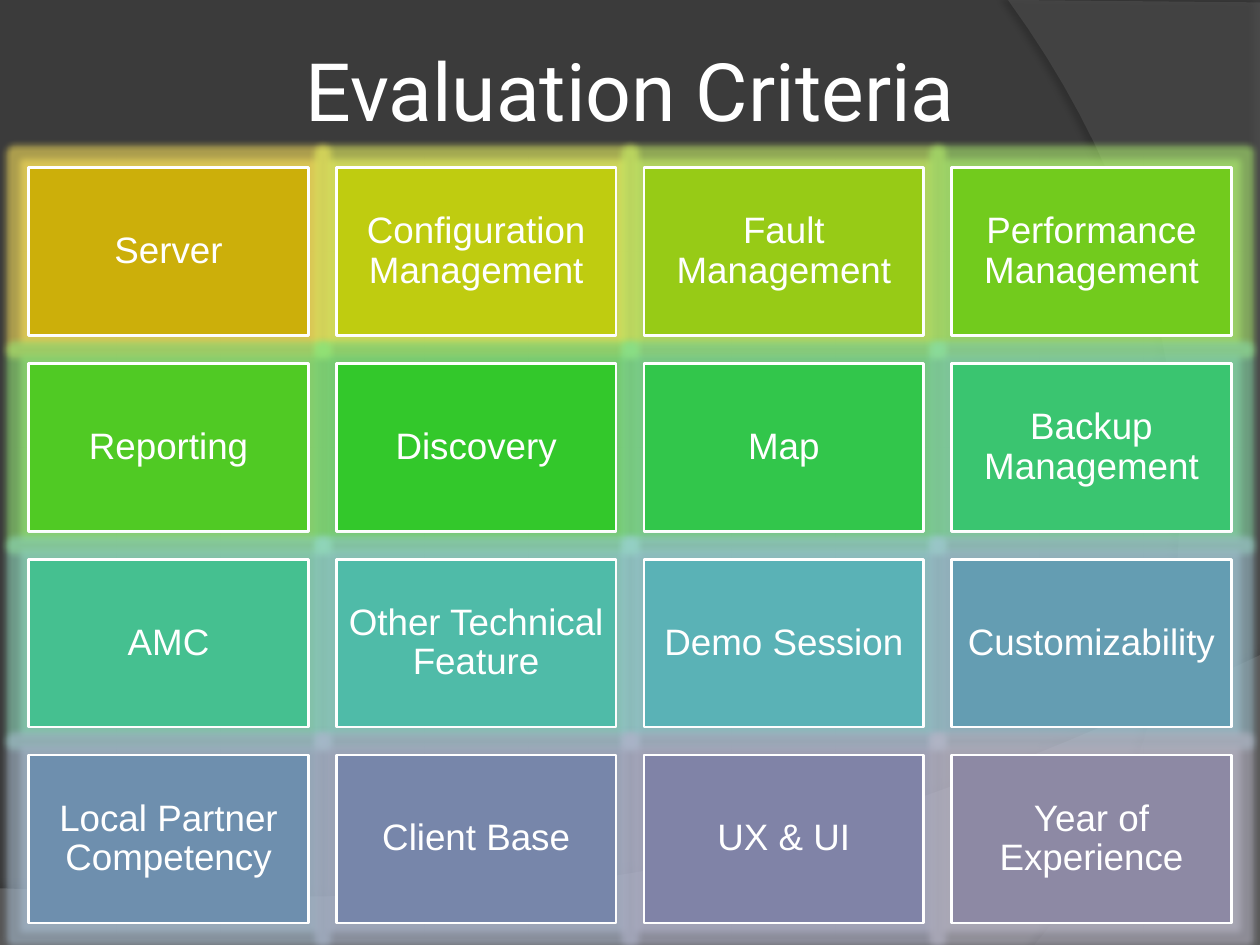
from lxml import etree
from pptx import Presentation
from pptx.dml.color import RGBColor
from pptx.enum.shapes import MSO_SHAPE
from pptx.enum.text import MSO_ANCHOR, PP_ALIGN
from pptx.oxml.ns import qn
from pptx.util import Pt

RECTANGLE = MSO_SHAPE.RECTANGLE
MIDDLE = MSO_ANCHOR.MIDDLE
CENTER = PP_ALIGN.CENTER

COLORS = {
    "background": "3B3B3B",
    "wave": "7F7F7F",
    "arc": "5E5E5E",
    "shadow": "000000",
    "white": "FFFFFF",
}
CRITERIA = [
    ("Server", "CCAF0A"),
    ("Configuration Management", "BFCC10"),
    ("Fault Management", "97CB16"),
    ("Performance Management", "72CB1D"),
    ("Reporting", "50CA24"),
    ("Discovery", "33C82B"),
    ("Map", "32C64B"),
    ("Backup Management", "3AC570"),
    ("AMC", "45C090"),
    ("Other Technical Feature", "4FBBA8"),
    ("Demo Session", "5AB2B6"),
    ("Customizability", "649DB2"),
    ("Local Partner Competency", "6E8FAE"),
    ("Client Base", "7786AA"),
    ("UX & UI", "8083A7"),
    ("Year of Experience", "8D89A4"),
]
SLIDE_WIDTH, SLIDE_HEIGHT = 720, 540
COLUMNS = 4
CARD_WIDTH, CARD_HEIGHT, GAP = 159.8, 95.9, 16
GRID_LEFT, GRID_TOP = 16.4, 95.8
CURVE_STEPS = 40


def rgb(color):
    return RGBColor.from_string(color)


def set_text(shape, text, *, size, font, color, inset, spacing=None):
    frame = shape.text_frame
    frame.word_wrap = True
    frame.vertical_anchor = MIDDLE
    frame.margin_left = frame.margin_right = Pt(inset)
    frame.margin_top = frame.margin_bottom = Pt(inset)
    frame.text = text
    paragraph = frame.paragraphs[0]
    paragraph.alignment = CENTER
    paragraph.line_spacing = spacing
    run_font = paragraph.runs[0].font
    run_font.size = Pt(size)
    run_font.name = font
    run_font.color.rgb = rgb(color)


def add_modifiers(color_element, **modifiers):
    for name, percent in modifiers.items():
        modifier = etree.SubElement(color_element, qn(f"a:{name}"))
        modifier.set("val", str(percent * 1000))


def add_effect(shape, kind, color, attributes, **modifiers):
    shape.shadow.inherit = False
    effects = shape.element.spPr.find(qn("a:effectLst"))
    effect = etree.SubElement(effects, qn(f"a:{kind}"))
    for name, value in attributes.items():
        effect.set(name, str(value))
    effect_color = etree.SubElement(effect, qn("a:srgbClr"), val=color)
    add_modifiers(effect_color, **modifiers)


def curve_points(start, first_control, second_control, end):
    points = []
    for step in range(CURVE_STEPS + 1):
        t = step / CURVE_STEPS
        u = 1 - t
        weights = (u**3, 3 * u * u * t, 3 * u * t * t, t**3)
        corners = (start, first_control, second_control, end)
        points.append(tuple(
            sum(weight * corner[axis] for weight, corner in zip(weights, corners))
            for axis in (0, 1)
        ))
    return points


def add_swoosh(slide, points, *, color, alpha, shadow_alpha, distance, direction):
    outline = [(Pt(x), Pt(y)) for x, y in points]
    builder = slide.shapes.build_freeform(*outline[0])
    builder.add_line_segments(outline[1:], close=True)
    swoosh = builder.convert_to_shape()
    swoosh.fill.solid()
    swoosh.fill.fore_color.rgb = rgb(color)
    swoosh.line.fill.background()
    fill_color = swoosh.element.spPr.find(qn("a:solidFill"))[0]
    add_modifiers(fill_color, alpha=alpha)
    shadow = {"blurRad": Pt(4), "dist": Pt(distance), "dir": direction * 60000}
    add_effect(swoosh, "outerShdw", COLORS["shadow"], shadow, alpha=shadow_alpha)


def add_backdrop(slide):
    slide.background.fill.solid()
    slide.background.fill.fore_color.rgb = rgb(COLORS["background"])
    wave = curve_points((720, 374.4), (402.5, 524.9), (281.5, 517.7), (0, 507.6))
    add_swoosh(slide, wave + [(0, SLIDE_HEIGHT), (SLIDE_WIDTH, SLIDE_HEIGHT)],
               color=COLORS["wave"], alpha=45,
               shadow_alpha=35, distance=3.5, direction=270)
    arc = curve_points((591.1, 540), (673.2, 445.7), (733, 216), (576, 0))
    add_swoosh(slide, arc + [(SLIDE_WIDTH, 1.4), (SLIDE_WIDTH, SLIDE_HEIGHT)],
               color=COLORS["arc"], alpha=40,
               shadow_alpha=45, distance=4, direction=180)


def add_title(slide, text):
    title = slide.shapes.title
    title.left, title.top = Pt(0), Pt(0)
    title.width, title.height = Pt(SLIDE_WIDTH), Pt(102)
    set_text(title, text, size=46, font="Roboto", color=COLORS["white"], inset=3.6)
    title.element.getparent().append(title.element)


def add_card(cards, index, label, color):
    row, column = divmod(index, COLUMNS)
    card = cards.shapes.add_shape(
        RECTANGLE,
        Pt(GRID_LEFT + column * (CARD_WIDTH + GAP)),
        Pt(GRID_TOP + row * (CARD_HEIGHT + GAP)),
        Pt(CARD_WIDTH), Pt(CARD_HEIGHT),
    )
    card.fill.solid()
    card.fill.fore_color.rgb = rgb(color)
    card.line.color.rgb = rgb(COLORS["white"])
    card.line.width = Pt(1.5)
    add_effect(card, "glow", color, {"rad": Pt(8)}, alpha=60, lumMod=50, lumOff=45)
    set_text(card, label, size=21, font="Arial", color=COLORS["white"],
             inset=6.3, spacing=0.9)


def main():
    presentation = Presentation()
    presentation.slide_width = Pt(SLIDE_WIDTH)
    presentation.slide_height = Pt(SLIDE_HEIGHT)
    slide = presentation.slides.add_slide(presentation.slide_layouts[5])
    add_backdrop(slide)
    add_title(slide, "Evaluation Criteria")
    cards = slide.shapes.add_group_shape()
    for index, (label, color) in enumerate(CRITERIA):
        add_card(cards, index, label, color)
    presentation.save("out.pptx")


if __name__ == "__main__":
    main()
